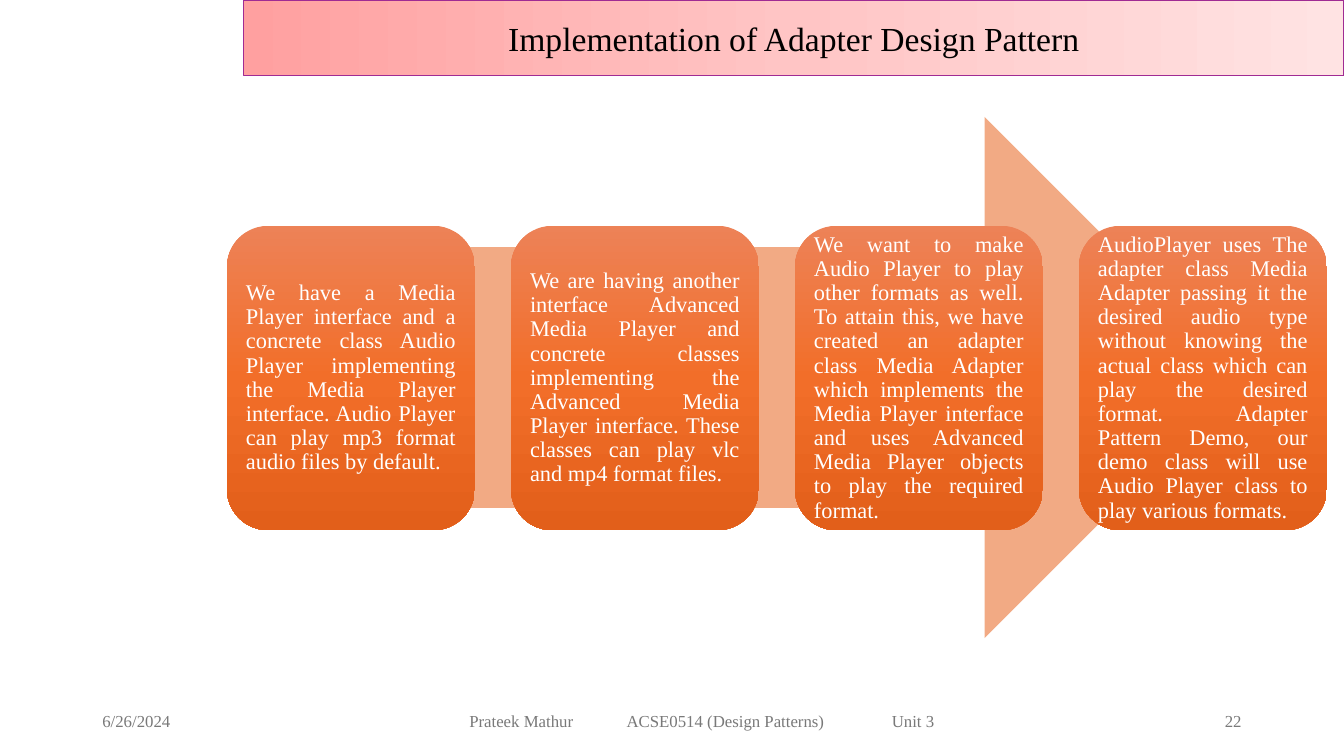
from copy import deepcopy
from dataclasses import dataclass
from typing import NamedTuple

from pptx import Presentation
from pptx.dml.color import RGBColor
from pptx.enum.shapes import MSO_SHAPE as SHAPE
from pptx.enum.text import MSO_ANCHOR as ANCHOR, PP_ALIGN as ALIGN
from pptx.oxml.ns import qn
from pptx.oxml.xmlchemy import OxmlElement
from pptx.util import Inches, Pt

WIDTH, HEIGHT = Inches(13.33), Inches(7.5)
FONT = "Times New Roman"
PINKS = ("FFA0A0", "FFC5C5", "FFE3E3")
ORANGES = ("ED8257", "F26E29", "E25F1A")


class Box(NamedTuple):
    left: float
    top: float
    width: float
    height: float

    def place(self) -> tuple[int, int, int, int]:
        return (int(WIDTH * self.left / 100), int(HEIGHT * self.top / 100),
                int(WIDTH * self.width / 100), int(HEIGHT * self.height / 100))


@dataclass
class Style:
    size: int
    colour: str
    align: ALIGN
    spacing: float = 1.0
    inset: float = 0.1


@dataclass
class Footer:
    text: str
    left: float
    width: float
    align: ALIGN
    inset: float = 0.1
    tabs: tuple[float, ...] = ()


TITLE_BOX = Box(18.12, 0, 81.88, 10)
ARROW_BOX = Box(23.03, 15.47, 69.62, 68.93)
FIRST_CARD = Box(16.88, 29.87, 18.45, 40.27)
CARD_PITCH = 21.13
FOOTER_TOP, FOOTER_HEIGHT = 92.67, 5.33

TITLE_STYLE = Style(24, "000000", ALIGN.CENTER)
CARD_STYLE = Style(16, "FFFFFF", ALIGN.JUSTIFY, spacing=0.9, inset=0.07)

CARDS = (
    "We have a Media Player interface and a concrete class Audio Player "
    "implementing the Media Player interface. Audio Player can play mp3 format "
    "audio files by default.",
    "We are having another interface Advanced Media Player and concrete classes "
    "implementing the Advanced Media Player interface. These classes can play "
    "vlc and mp4 format files.",
    "We want to make Audio Player to play other formats as well. To attain this, "
    "we have created an adapter class Media Adapter which implements the Media "
    "Player interface and uses Advanced Media Player objects to play the "
    "required format.",
    "AudioPlayer uses The adapter class Media Adapter passing it the desired "
    "audio type without knowing the actual class which can play the desired "
    "format. Adapter Pattern Demo, our demo class will use Audio Player class "
    "to play various formats.",
)

FOOTERS = (
    Footer("6/26/2024", 6.88, 22.5, ALIGN.LEFT),
    Footer("Prateek Mathur\tACSE0514 (Design Patterns)\tUnit 3", 33.12, 38.33,
           ALIGN.LEFT, inset=0.24, tabs=(1.56, 4.19)),
    Footer("22", 70.62, 22.5, ALIGN.RIGHT),
)


def rgb(colour: str) -> RGBColor:
    return RGBColor.from_string(colour)


def add_shape(shapes, kind: SHAPE, box: Box):
    sp = shapes.add_shape(kind, *box.place())
    sp.shadow.inherit = False
    sp.line.fill.background()
    return sp


def fill_gradient(sp, colours: tuple[str, ...], angle: int) -> None:
    sp.fill.gradient()
    sp.fill.gradient_angle = angle
    stops = sp._element.spPr.find(".//" + qn("a:gsLst"))
    stops.append(deepcopy(stops[0]))
    for i, (stop, colour) in enumerate(zip(sp.fill.gradient_stops, colours)):
        stop.position = i / (len(colours) - 1)
        stop.color.rgb = rgb(colour)


def add_tabs(p, positions: tuple[float, ...]) -> None:
    tabs = OxmlElement("a:tabLst")
    for position in positions:
        tab = OxmlElement("a:tab")
        tab.set("pos", str(Inches(position)))
        tab.set("algn", "l")
        tabs.append(tab)
    p._p.get_or_add_pPr().append(tabs)


def write(sp, text: str, style: Style, tabs: tuple[float, ...] = ()) -> None:
    tf = sp.text_frame
    tf.word_wrap = True
    tf.vertical_anchor = ANCHOR.MIDDLE
    tf.margin_left = tf.margin_right = Inches(style.inset)
    tf.margin_top = tf.margin_bottom = Inches(min(style.inset, 0.07))
    p = tf.paragraphs[0]
    p.text = text
    if tabs:
        add_tabs(p, tabs)
    p.alignment = style.align
    p.line_spacing = style.spacing
    p.font.name = FONT
    p.font.size = Pt(style.size)
    p.font.color.rgb = rgb(style.colour)


def add_title(shapes) -> None:
    sp = add_shape(shapes, SHAPE.RECTANGLE, TITLE_BOX)
    fill_gradient(sp, PINKS, 0)
    sp.line.color.rgb = rgb("A02B93")
    sp.line.width = Pt(1)
    write(sp, "Implementation of Adapter Design Pattern", TITLE_STYLE)


def add_footer(shapes, footer: Footer) -> None:
    box = Box(footer.left, FOOTER_TOP, footer.width, FOOTER_HEIGHT)
    style = Style(12, "797979", footer.align, inset=footer.inset)
    write(shapes.add_textbox(*box.place()), footer.text, style, footer.tabs)


def add_process(shapes) -> None:
    group = shapes.add_group_shape().shapes
    arrow = add_shape(group, SHAPE.RIGHT_ARROW, ARROW_BOX)
    arrow.fill.solid()
    arrow.fill.fore_color.rgb = rgb("F2AA84")
    for i, text in enumerate(CARDS):
        box = FIRST_CARD._replace(left=FIRST_CARD.left + i * CARD_PITCH)
        sp = add_shape(group, SHAPE.ROUNDED_RECTANGLE, box)
        fill_gradient(sp, ORANGES, 270)
        write(sp, text, CARD_STYLE)


def main() -> None:
    prs = Presentation()
    prs.slide_width, prs.slide_height = WIDTH, HEIGHT
    shapes = prs.slides.add_slide(prs.slide_layouts[6]).shapes
    add_title(shapes)
    for footer in FOOTERS:
        add_footer(shapes, footer)
    add_process(shapes)
    prs.save("out.pptx")


if __name__ == "__main__":
    main()
